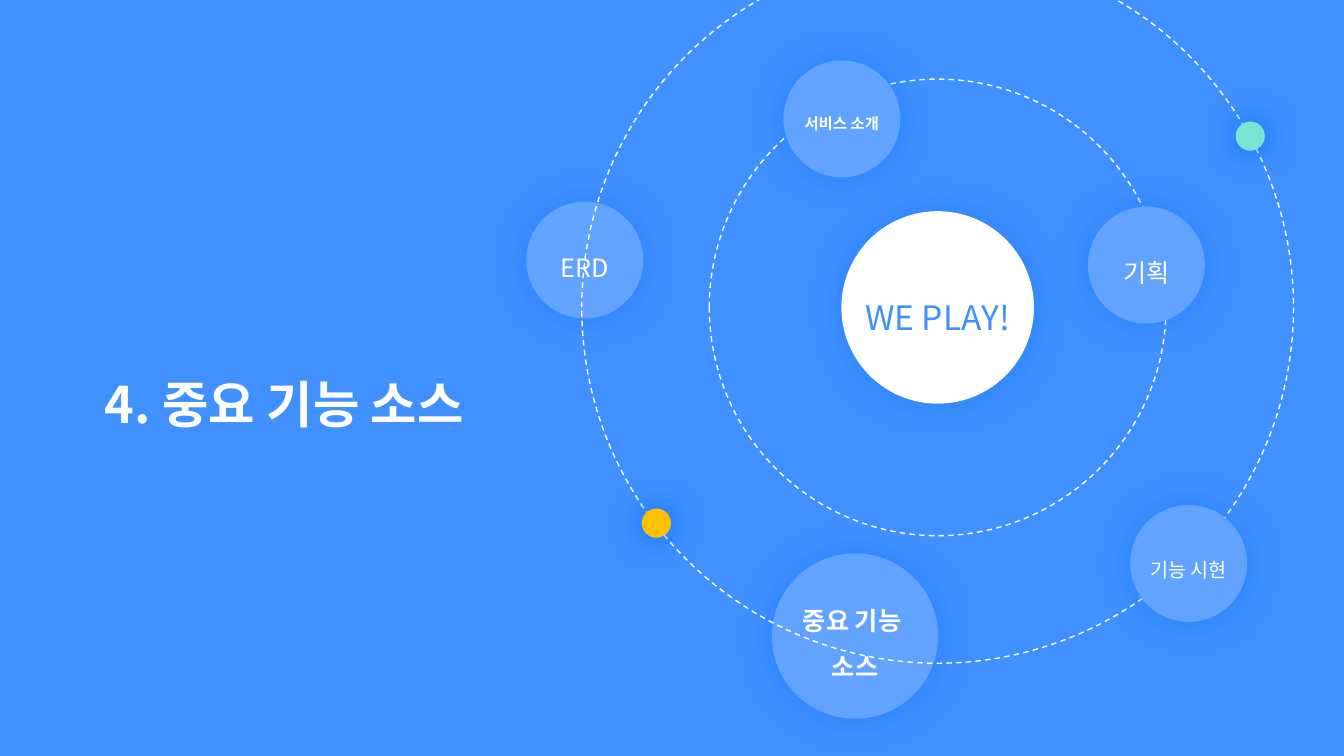
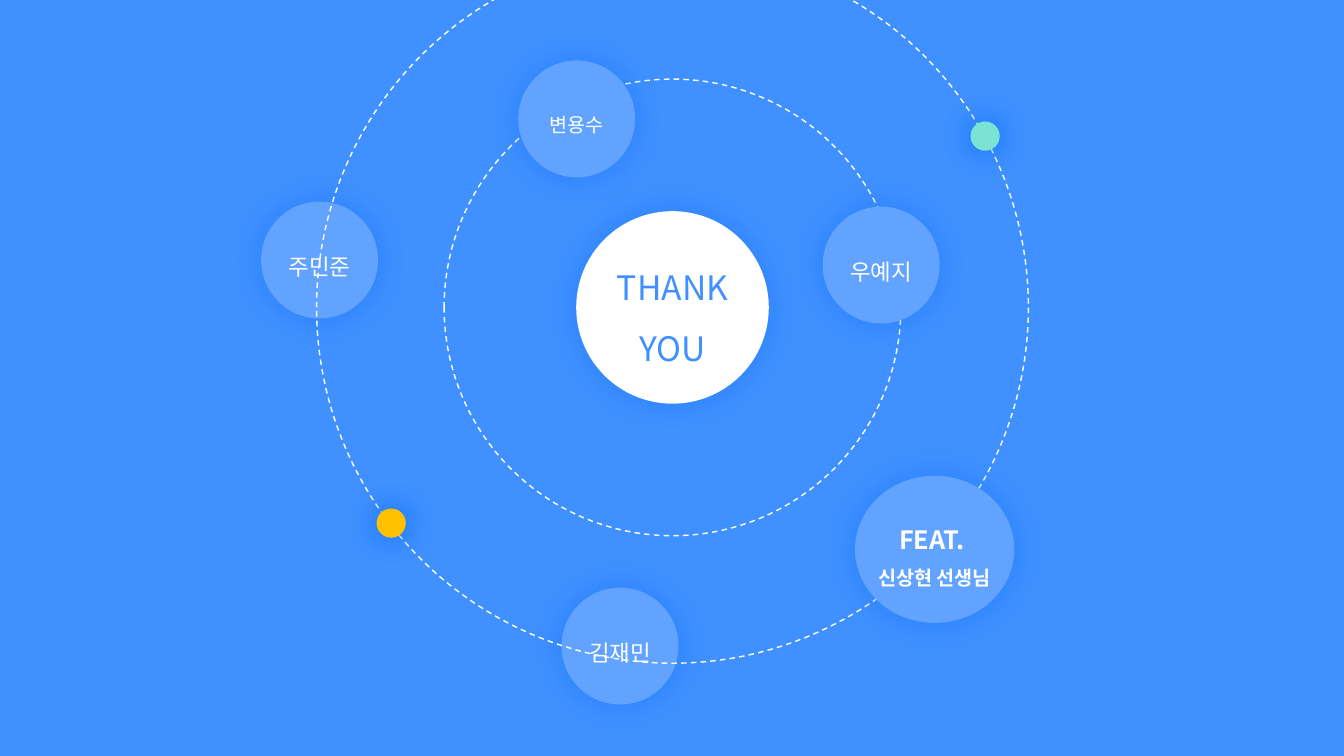
from lxml import etree
from pptx import Presentation
from pptx.dml.color import RGBColor
from pptx.enum.dml import MSO_LINE
from pptx.enum.shapes import MSO_SHAPE
from pptx.enum.text import MSO_ANCHOR, MSO_AUTO_SIZE, PP_ALIGN
from pptx.oxml.ns import qn
from pptx.util import Inches, Pt

OVAL, DASH = MSO_SHAPE.OVAL, MSO_LINE.DASH
TOP, MIDDLE = MSO_ANCHOR.TOP, MSO_ANCHOR.MIDDLE
LEFT, CENTER = PP_ALIGN.LEFT, PP_ALIGN.CENTER
FIXED = MSO_AUTO_SIZE.NONE
TITLE_ONLY, BLANK = 5, 6

# Shared style
FONT = "Noto Sans CJK KR"
BLUE, PALE_BLUE, SHADOW_BLUE = "4090FF", "62A3FF", "006DFE"
WHITE, YELLOW, MINT = "FFFFFF", "FFC000", "7AE3D4"
LINE_SPACING = 1.5

# Orbit system: sizes, and centres measured from the middle of the system
SUN, PLANET, MOON = 1.91, 1.16, 0.29
INNER_ORBIT, OUTER_ORBIT = 4.53, 7.06
EAST, WEST, NORTH = (2.07, -0.42), (-3.5, -0.47), (-0.95, -1.87)
MOONS = [((-2.79, 2.14), YELLOW), ((3.1, -1.7), MINT)]


def color(value):
    return RGBColor.from_string(value)


def add_page(deck, layout):
    page = deck.slides.add_slide(deck.slide_layouts[layout])
    page.background.fill.solid()
    page.background.fill.fore_color.rgb = color(BLUE)
    return page


def write_lines(frame, lines, ink, align):
    """Write one paragraph for each (text, size, bold) line."""
    for index, (text, size, bold) in enumerate(lines):
        para = frame.add_paragraph() if index else frame.paragraphs[0]
        spacing = {"alignment": align, "line_spacing": LINE_SPACING,
                   "space_before": Pt(0)}
        for name, value in spacing.items():
            setattr(para, name, value)
        span = para.add_run()
        span.text = text
        span.font.color.rgb = color(ink)
        for name, value in {"size": Pt(size), "bold": bold, "name": FONT}.items():
            setattr(span.font, name, value)
        properties = span.font._element
        etree.SubElement(properties, qn("a:ea"), typeface=FONT)


def add_circle(page, center, width, height):
    x, y = center
    circle = page.shapes.add_shape(
        OVAL, Inches(x - width / 2), Inches(y - height / 2),
        Inches(width), Inches(height))
    circle.shadow.inherit = False
    return circle


def add_orbit(page, center, size):
    orbit = add_circle(page, center, size, size)
    orbit.fill.background()
    orbit.line.color.rgb = color(WHITE)
    orbit.line.width = Pt(1)
    orbit.line.dash_style = DASH


def add_body(page, center, size, fill, lines=(), ink=WHITE, opacity=40):
    """Filled circle with a soft glow and an optional centred label."""
    body = add_circle(page, center, *size)
    body.fill.solid()
    body.fill.fore_color.rgb = color(fill)
    body.line.fill.background()
    effects = body._element.spPr.find(qn("a:effectLst"))
    glow = etree.SubElement(effects, qn("a:outerShdw"), blurRad=str(Pt(23)),
                            dist="0", dir="0", algn="ctr", rotWithShape="0")
    tint = etree.SubElement(glow, qn("a:srgbClr"), val=SHADOW_BLUE)
    etree.SubElement(tint, qn("a:alpha"), val=str(opacity * 1000))
    if lines:
        body.text_frame.word_wrap = False
        body.text_frame.vertical_anchor = MIDDLE
        write_lines(body.text_frame, lines, ink, CENTER)


def add_system(page, middle, sun_lines, back_planets, front_planets):
    """Sun, two orbits, planets behind and before the outer orbit, moons."""
    def at(offset):
        return middle[0] + offset[0], middle[1] + offset[1]

    def add_planets(planets):
        for offset, size, lines in planets:
            add_body(page, at(offset), size, PALE_BLUE, lines)

    add_body(page, middle, (SUN, SUN), WHITE, sun_lines, BLUE)
    add_orbit(page, middle, INNER_ORBIT)
    add_planets(back_planets)
    add_orbit(page, middle, OUTER_ORBIT)
    for offset, fill in MOONS:
        add_body(page, at(offset), (MOON, MOON), fill, opacity=100)
    add_planets(front_planets)


def add_title(page, text, box):
    title = page.shapes.title
    for name, value in zip(("left", "top", "width", "height"), box):
        setattr(title, name, Inches(value))
    frame = title.text_frame
    settings = {"word_wrap": True, "vertical_anchor": TOP, "auto_size": FIXED}
    for name, value in settings.items():
        setattr(frame, name, value)
    write_lines(frame, [(text, 36, True)], WHITE, LEFT)


def build_section(deck):
    page = add_page(deck, TITLE_ONLY)
    small = (PLANET, PLANET)
    add_system(
        page, (9.3, 3.05), [("WE PLAY!", 24, False)],
        [(EAST, small, [("기획", 18, False)]),
         (WEST, small, [("ERD", 18, False)]),
         ((-0.82, 3.26), (1.65, 1.64),
          [("중요 기능 ", 18, True), ("소스", 18, True)])],
        [((2.49, 2.54), small, [("기능 시현", 14, False)]),
         (NORTH, small, [("서비스 소개", 11, True)])])
    add_title(page, "4. 중요 기능 소스", (0.94, 3.35, 6.72, 1.82))


def build_closing(deck):
    page = add_page(deck, BLANK)
    small = (PLANET, PLANET)
    add_system(
        page, (6.67, 3.05), [("THANK", 24, False), ("YOU", 24, False)],
        [(EAST, small, [("우예지", 16, False)]),
         (WEST, small, [("주민준", 16, False)]),
         ((-0.52, 3.36), small, [("김재민", 16, False)])],
        [((2.6, 2.4), (1.58, 1.46),
          [("FEAT. ", 18, True), ("신상현 선생님", 14, True)]),
         (NORTH, small, [("변용수", 14, False)])])


deck = Presentation()
deck.slide_width, deck.slide_height = Inches(13.33), Inches(7.5)
build_section(deck)
build_closing(deck)
deck.save("out.pptx")
